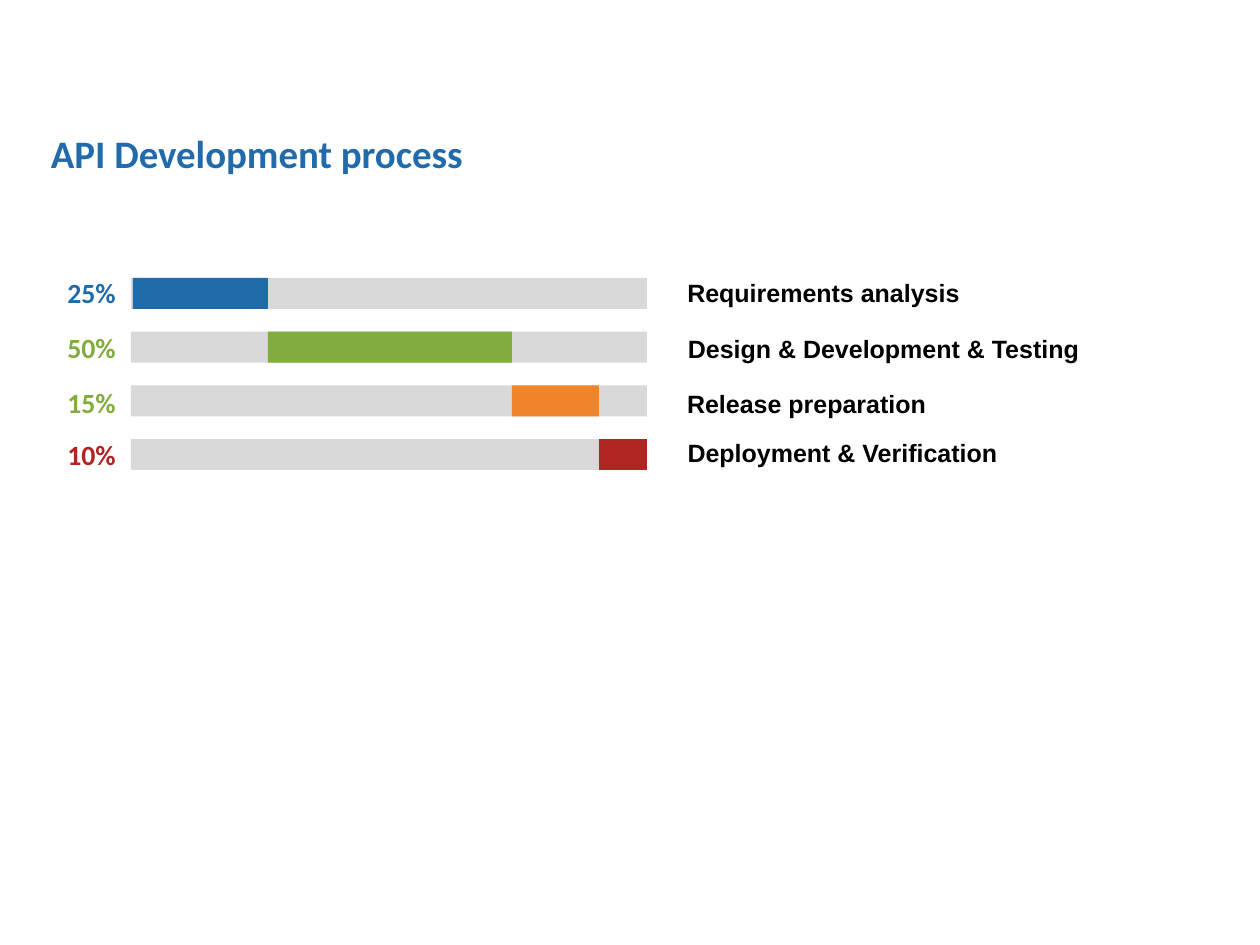
from pptx import Presentation
from pptx.dml.color import RGBColor
from pptx.enum.shapes import MSO_SHAPE
from pptx.enum.text import MSO_ANCHOR, PP_ALIGN
from pptx.util import Pt

BLUE = RGBColor(0x22, 0x6B, 0xAB)
GREEN = RGBColor(0x83, 0xAC, 0x3F)
ORANGE = RGBColor(0xEE, 0x85, 0x2A)
RED = RGBColor(0xB0, 0x25, 0x21)
GRAY = RGBColor(0xD9, 0xD9, 0xD9)
BLACK = RGBColor(0, 0, 0)

# Content: share, share colour, share top, phase, phase top, phase width, bar colour
TITLE = "API Development process"
PHASES = [
    ("25%", BLUE, 271, "Requirements analysis", 273, 295, BLUE),
    ("50%", GREEN, 326, "Design & Development & Testing", 329, 415, GREEN),
    ("15%", GREEN, 381, "Release preparation", 384, 261, ORANGE),
    ("10%", RED, 433, "Deployment & Verification", 433, 333, RED),
]
EDGES = [133, 268, 512, 599, 647]  # where each phase starts and the last one ends

# Layout in px, 100 px to the inch
PX = 9144
TRACK_LEFT, TRACK_WIDTH, BAR_HEIGHT = 131, 516, 31
FIRST_TOP, LAST_TOP = 278, 439
PITCH = (LAST_TOP - FIRST_TOP) / (len(PHASES) - 1)


def box(*lengths):
    return [round(n * PX) for n in lengths]


def write(sp, text, size, color, font="Calibri", align=PP_ALIGN.CENTER, wrap=False):
    tf = sp.text_frame
    tf.word_wrap = wrap
    tf.vertical_anchor = MSO_ANCHOR.TOP
    p = tf.paragraphs[0]
    p.alignment = align
    r = p.add_run()
    r.text = text
    r.font.name = font
    r.font.size = Pt(size)
    r.font.bold = True
    r.font.color.rgb = color


def add_bar(left, top, width, color):
    sp = s.shapes.add_shape(MSO_SHAPE.RECTANGLE, *box(left, top, width, BAR_HEIGHT))
    sp.shadow.inherit = False
    sp.fill.solid()
    sp.fill.fore_color.rgb = color
    sp.line.fill.background()


prs = Presentation()
prs.slide_width, prs.slide_height = box(1260, 945)
s = prs.slides.add_slide(prs.slide_layouts[5])

# Title
title = s.shapes.title
title.left, title.top, title.width, title.height = box(41, 125, 824, 57)
write(title, TITLE, 28, BLUE, align=PP_ALIGN.LEFT, wrap=True)

# One row per phase: track, bar, share and name
for i, (share, share_color, share_top, name, name_top, name_width, color) in enumerate(PHASES):
    top = FIRST_TOP + i * PITCH
    add_bar(TRACK_LEFT, top, TRACK_WIDTH, GRAY)
    add_bar(EDGES[i], top, EDGES[i + 1] - EDGES[i], color)
    write(s.shapes.add_textbox(*box(57, share_top, 69, 44)), share, 20, share_color)
    write(s.shapes.add_textbox(*box(676, name_top, name_width, 40)), name, 18, BLACK, font="Arial")

prs.save("out.pptx")
